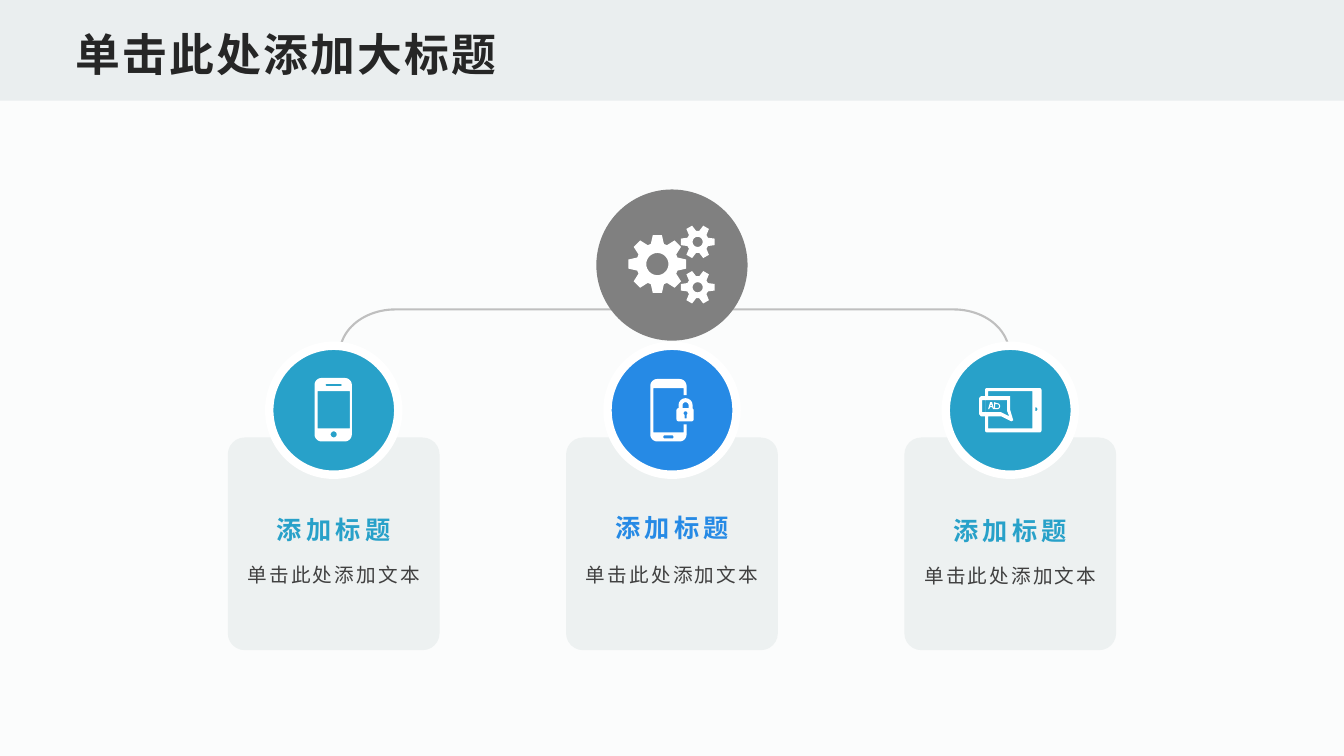
from math import cos, radians, sin

from pptx import Presentation
from pptx.dml.color import RGBColor
from pptx.enum.shapes import MSO_SHAPE
from pptx.enum.text import MSO_ANCHOR, PP_ALIGN
from pptx.util import Inches, Pt

W, H = 13.33, 7.5
PITCH = 6.71 / 2
COLORS = {
    "page": "FBFCFC", "band": "EAEEEF", "card": "EDF1F1", "line": "BFBFBF",
    "teal": "28A1C9", "blue": "268AE5", "hub": "808080", "white": "FFFFFF",
    "heading": "262626", "body": "404040",
}
HEADING = "单击此处添加大标题"
CARDS = [
    {"title": "添加标题", "text": "单击此处添加文本", "color": "teal", "title_y": 4.94, "text_y": 5.54},
    {"title": "添加标题", "text": "单击此处添加文本", "color": "blue", "title_y": 4.92, "text_y": 5.54},
    {"title": "添加标题", "text": "单击此处添加文本", "color": "teal", "title_y": 4.95, "text_y": 5.55},
]


def polar(cx, cy, r, deg):
    return cx + r * cos(radians(deg)), cy + r * sin(radians(deg))


def arc(cx, cy, r, start, end, steps=8):
    return [polar(cx, cy, r, start + (end - start) * i / steps) for i in range(steps + 1)]


def circle(cx, cy, r):
    return arc(cx, cy, r, 0, 360, 32)


def rect(x, y, w, h):
    return [(x, y), (x + w, y), (x + w, y + h), (x, y + h)]


def rounded(x, y, w, h, r):
    return (arc(x + w - r, y + h - r, r, 0, 90) + arc(x + r, y + h - r, r, 90, 180)
            + arc(x + r, y + r, r, 180, 270) + arc(x + w - r, y + r, r, 270, 360))


def gear(cx, cy, tip, root, teeth, tip_half, root_half):
    profile = [(root, -root_half), (tip, -tip_half), (tip, tip_half), (root, root_half)]
    return [polar(cx, cy, r, 360 * i / teeth + a) for i in range(teeth) for r, a in profile]


PHONE = [
    rounded(3.12, 3.75, 0.37, 0.63, 0.07),
    rect(3.15, 3.88, 0.32, 0.37),
    rounded(3.23, 3.81, 0.16, 0.02, 0.01),
    circle(3.31, 4.31, 0.03),
]
LOCKED_PHONE = [
    rounded(6.45, 3.76, 0.36, 0.62, 0.07)
    + [(6.81, 3.92), (6.78, 3.92), (6.78, 3.85), (6.48, 3.85),
       (6.48, 4.29), (6.78, 4.29), (6.78, 4.21), (6.81, 4.21)],
    rounded(6.58, 4.32, 0.1, 0.03, 0.01),
    rounded(6.71, 4.05, 0.17, 0.13, 0.02),
    arc(6.8, 4.02, 0.07, 180, 360) + [(6.87, 4.05), (6.83, 4.05)]
    + arc(6.8, 4.02, 0.03, 360, 180) + [(6.77, 4.05), (6.73, 4.05)],
    arc(6.8, 4.1, 0.02, 120, 420) + [(6.81, 4.15), (6.79, 4.15)],
]
AD_TABLET = [
    rounded(9.77, 3.85, 0.56, 0.44, 0.02),
    [(9.8, 3.88), (10.24, 3.88), (10.24, 4.25), (9.8, 4.25), (9.8, 4.13), (9.93, 4.13),
     (10.03, 4.18), (10.05, 4.17), (10.02, 4.07), (10.02, 3.93), (9.8, 3.93)],
    [(9.77, 3.93), (9.73, 3.93), (9.71, 3.95), (9.71, 4.11), (9.73, 4.13), (9.77, 4.13)],
    [(9.74, 3.97), (9.99, 3.97), (9.99, 4.08), (10.01, 4.13), (9.93, 4.09), (9.74, 4.09)],
    [(9.8, 4.06), (9.82, 3.99), (9.84, 3.99), (9.86, 4.06), (9.85, 4.06),
     (9.84, 4.04), (9.82, 4.04), (9.81, 4.06)],
    [(9.82, 4.03), (9.83, 4.01), (9.84, 4.03)],
    [(9.86, 3.99)] + arc(9.89, 4.03, 0.03, 270, 450) + [(9.86, 4.06)],
    [(9.87, 4.01)] + arc(9.89, 4.03, 0.02, 270, 450) + [(9.87, 4.05)],
    arc(10.27, 4.06, 0.02, 270, 450),
]
GEARS = [
    gear(6.52, 2.62, 0.29, 0.21, 8, 9, 18), circle(6.52, 2.62, 0.11),
    gear(6.92, 2.4, 0.17, 0.11, 6, 11, 22), circle(6.92, 2.4, 0.05),
    gear(6.92, 2.85, 0.17, 0.11, 6, 11, 22), circle(6.92, 2.85, 0.05),
]


def rgb(name):
    return RGBColor.from_string(COLORS[name])


def style(sp, fill=None, line=None, width=1):
    sp.shadow.inherit = False
    if fill:
        sp.fill.solid()
        sp.fill.fore_color.rgb = rgb(fill)
    else:
        sp.fill.background()
    if line:
        sp.line.color.rgb = rgb(line)
        sp.line.width = Pt(width)
    else:
        sp.line.fill.background()


def add_preset(s, kind, x, y, w, h, adj=None, **look):
    sp = s.shapes.add_shape(kind, Inches(x), Inches(y), Inches(w), Inches(h))
    if adj is not None:
        sp.adjustments[0] = adj
    style(sp, **look)
    return sp


def add_icon(s, contours):
    loops = [[(Inches(x), Inches(y)) for x, y in c] for c in contours]
    fb = s.shapes.build_freeform(*loops[0][0])
    fb.add_line_segments(loops[0][1:])
    for loop in loops[1:]:
        fb.move_to(*loop[0])
        fb.add_line_segments(loop[1:])
    style(fb.convert_to_shape(), fill="white")


def add_text(s, text, x, y, w, h, size, color, bold=False, spacing=1.5, leading=None,
             align=PP_ALIGN.LEFT, anchor=MSO_ANCHOR.TOP, insets=(0.1, 0, 0.1, 0.05)):
    tf = s.shapes.add_textbox(Inches(x), Inches(y), Inches(w), Inches(h)).text_frame
    tf.word_wrap = True
    tf.vertical_anchor = anchor
    tf.margin_left, tf.margin_top, tf.margin_right, tf.margin_bottom = map(Inches, insets)
    p = tf.paragraphs[0]
    p.alignment = align
    if leading:
        p.line_spacing = leading
    r = p.add_run()
    r.text = text
    r.font.name = "Arial"
    r.font.size = Pt(size)
    r.font.bold = bold
    r.font.color.rgb = rgb(color)
    r.font._element.set("spc", str(int(spacing * 100)))


def main():
    prs = Presentation()
    prs.slide_width, prs.slide_height = Inches(W), Inches(H)
    s = prs.slides.add_slide(prs.slide_layouts[6])
    s.background.fill.solid()
    s.background.fill.fore_color.rgb = rgb("page")

    add_preset(s, MSO_SHAPE.RECTANGLE, 0, 0, W, 1, fill="band")
    add_text(s, HEADING, 0.67, 0.17, 12, 0.67, size=32, color="heading", bold=True,
             anchor=MSO_ANCHOR.BOTTOM, insets=(0.08, 0.04, 0.08, 0.04))
    bracket = add_preset(s, MSO_SHAPE.RIGHT_BRACKET, 6.47, -0.03, 0.44, 6.64, adj=1.25,
                         line="line", width=1.5)
    bracket.rotation = 270

    for i, card in enumerate(CARDS):
        cx = W / 2 + (i - 1) * PITCH
        add_preset(s, MSO_SHAPE.ROUNDED_RECTANGLE, cx - 1.05, 4.34, 2.1, 2.11, adj=0.08, fill="card")
        add_text(s, card["text"], cx - 0.985, card["text_y"], 1.97, 0.55, size=14, color="body",
                 leading=1.2, align=PP_ALIGN.CENTER)
        add_text(s, card["title"], cx - 0.985, card["title_y"], 1.97, 0.46, size=18,
                 color=card["color"], bold=True, spacing=3, leading=1.2, align=PP_ALIGN.CENTER,
                 anchor=MSO_ANCHOR.BOTTOM, insets=(0.1, 0.05, 0.1, 0))
        add_preset(s, MSO_SHAPE.OVAL, cx - 0.64, 3.43, 1.28, 1.28,
                   fill=card["color"], line="white", width=6)

    add_preset(s, MSO_SHAPE.OVAL, W / 2 - 0.75, 1.88, 1.5, 1.5, fill="hub")
    for icon in (PHONE, LOCKED_PHONE, AD_TABLET, GEARS):
        add_icon(s, icon)
    prs.save("out.pptx")


if __name__ == "__main__":
    main()
